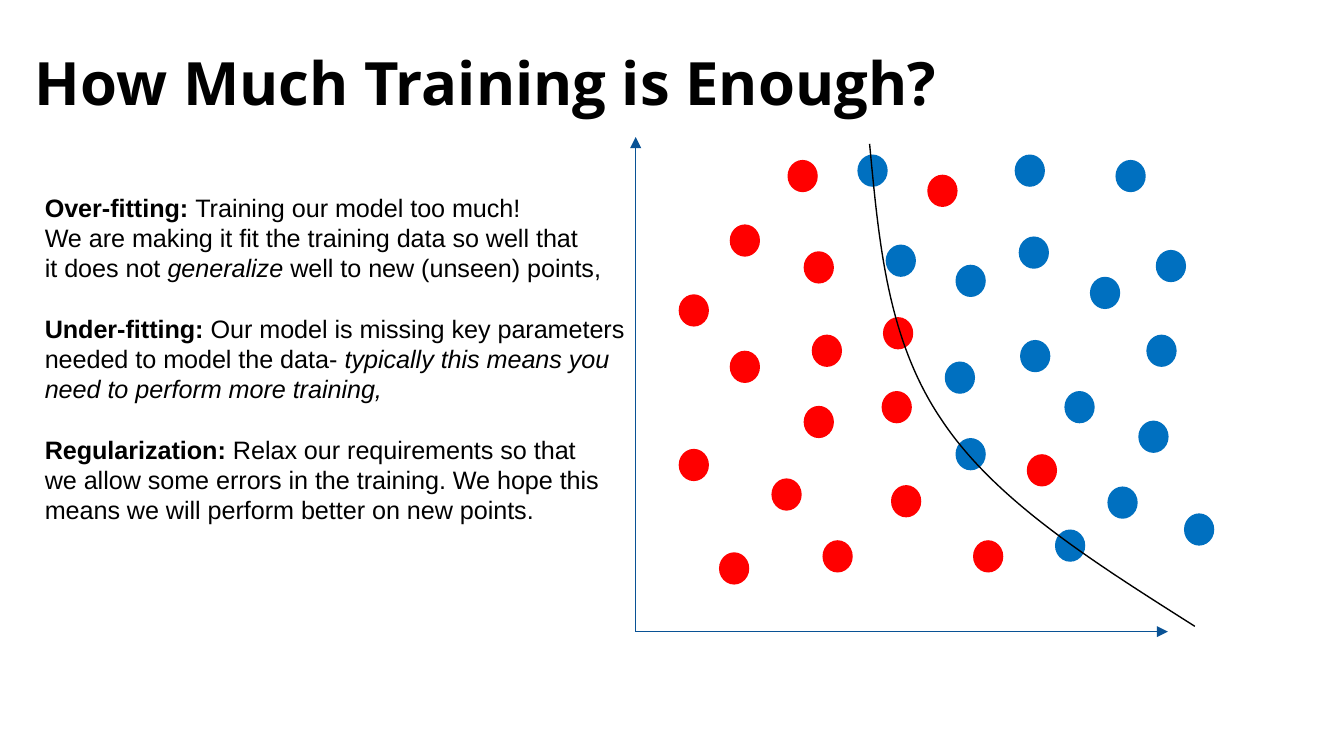
import pptx
import pptx.util
import pptx.dml.color
import pptx.enum.shapes
import pptx.enum.text
import pptx.oxml
import pptx.oxml.ns
from dataclasses import dataclass
from typing import NamedTuple

Pt = pptx.util.Pt
qn = pptx.oxml.ns.qn
Kind = pptx.enum.shapes.MSO_SHAPE
Anchor = pptx.enum.text.MSO_ANCHOR
Align = pptx.enum.text.PP_ALIGN
Fit = pptx.enum.text.MSO_AUTO_SIZE


@dataclass(frozen=True)
class Theme:
    ink: str = "000000"
    axis: str = "095295"
    red: str = "FF0000"
    blue: str = "0070C0"
    head: str = "Open Sans"
    body: str = "Arial"
    big: float = 32
    small: float = 13.5
    pitch: float = 16.2
    line: float = 0.75


class Spot(NamedTuple):
    col: float
    row: float


class Box(NamedTuple):
    col: float
    row: float
    wide: float
    high: float


class Part(NamedTuple):
    text: str
    style: dict


THEME = Theme()

# The grid: 100 columns and 56.25 rows of square cells
COLS, ROWS = 100, 56.25
CELL = pptx.util.Inches(0.1)

TITLE = Box(2.6, 1.3, 85, 7.45)
NOTES = Box(2.35, 13.8, 45.8, 26)
ORIGIN, TOP, RIGHT = Spot(47.3, 47), Spot(47.3, 10.2), Spot(86.9, 47)
DOT = Spot(2.25, 2.4)

BOLD, ITALIC, PLAIN = {"bold": True}, {"italic": True}, {}

# Each topic is a list of paragraphs, each a list of styled parts
TOPICS = [
    [
        [Part("Over-fitting: ", BOLD), Part("Training our model too much!", PLAIN)],
        [Part("We are making it fit the training data so well that", PLAIN)],
        [Part("it does not ", PLAIN), Part("generalize", ITALIC),
         Part(" well to new (unseen) points,", PLAIN)],
    ],
    [
        [Part("Under-fitting: ", BOLD),
         Part("Our model is missing key parameters\vneeded to model the data- ", PLAIN),
         Part("typically this means you\vneed to perform more training,", ITALIC)],
    ],
    [
        [Part("Regularization: ", BOLD),
         Part("Relax our requirements so that\vwe allow some errors in the training. "
              "We hope this\vmeans we will perform better on new points.", PLAIN)],
    ],
]

# Top left corner of every data point, by class
CLASSES = {
    THEME.red: [
        (59.8, 18.7), (54.3, 26.1), (65.7, 23.6), (65.6, 29.1), (69, 13),
        (54.3, 16.7), (76.4, 33.8), (53.5, 41.1), (50.5, 33.4), (50.5, 21.9),
        (59.8, 30.2), (72.4, 40.2), (61.2, 40.2), (58.6, 11.9), (57.4, 35.6),
        (60.4, 24.9), (66.3, 36.1),
    ],
    THEME.blue: [
        (63.8, 11.5), (71.1, 19.7), (65.9, 18.2), (70.3, 26.9), (71.1, 32.6),
        (82.4, 36.2), (81.1, 20.6), (75.5, 11.5), (75.8, 17.6), (86, 18.6),
        (75.9, 25.3), (85.3, 24.9), (84.7, 31.3), (83, 11.9), (78.5, 39.4),
        (88.1, 38.2), (79.2, 29.1),
    ],
}

# Decision boundary: a start, then two handles and an end per curve
START = Spot(64.7, 10.7)
CURVES = [
    [Spot(65.4, 18), Spot(66, 25.3), Spot(70.1, 31.3)],
    [Spot(74.1, 37.3), Spot(81.5, 41.9), Spot(88.9, 46.6)],
]


def cells(vals) -> list[int]:
    return [round(v * CELL) for v in vals]


def rgb(code: str):
    return pptx.dml.color.RGBColor.from_string(code)


def style(font, face: str, size: float, **more) -> None:
    for key, val in {"name": face, "size": Pt(size), **more}.items():
        setattr(font, key, val)
    font.color.rgb = rgb(THEME.ink)


def stroke(line, code: str) -> None:
    line.color.rgb = rgb(code)
    line.width = Pt(THEME.line)


def title(slide, text: str) -> None:
    shape = slide.shapes.title
    shape.left, shape.top, shape.width, shape.height = cells(TITLE)
    frame = shape.text_frame
    frame.text = text
    form = {"margin_left": 0, "margin_right": 0, "margin_bottom": 0,
            "vertical_anchor": Anchor.BOTTOM, "word_wrap": True,
            "auto_size": Fit.NONE}
    for key, val in form.items():
        setattr(frame, key, val)
    para = frame.paragraphs[0]
    para.alignment = Align.LEFT
    style(para.runs[0].font, THEME.head, THEME.big, bold=True)


def notes(slide) -> None:
    frame = slide.shapes.add_textbox(*cells(NOTES)).text_frame
    frame.word_wrap = False
    frame.auto_size = Fit.SHAPE_TO_FIT_TEXT
    para = None
    for topic in TOPICS:
        for num, parts in enumerate(topic):
            first = para is None
            para = frame.paragraphs[0] if first else frame.add_paragraph()
            para.line_spacing = Pt(THEME.pitch)
            if num == 0 and not first:
                para.space_before = Pt(THEME.pitch)
            for part in parts:
                # A vertical tab marks a line break inside a paragraph
                for step, text in enumerate(part.text.split("\v")):
                    if step:
                        para.add_line_break()
                    run = para.add_run()
                    run.text = text
                    style(run.font, THEME.body, THEME.small, **part.style)


def arrow(slide, start: Spot, end: Spot) -> None:
    line = slide.shapes.add_connector(
        pptx.enum.shapes.MSO_CONNECTOR.STRAIGHT, *cells(start + end))
    stroke(line.line, THEME.axis)
    props = line._element.spPr
    edge = props.find(qn("a:ln"))
    edge.append(edge.makeelement(qn("a:tailEnd"), {"type": "triangle"}))
    props.append(props.makeelement(qn("a:effectLst"), {}))


def dot(slide, spot: Spot, code: str) -> None:
    shape = slide.shapes.add_shape(Kind.OVAL, *cells(spot + DOT))
    shape.shadow.inherit = False
    shape.fill.solid()
    shape.fill.fore_color.rgb = rgb(code)
    shape.line.fill.background()


def border(slide) -> None:
    pen = slide.shapes.build_freeform(*cells(START))
    pen.add_line_segments([cells(curve[-1]) for curve in CURVES], close=False)
    shape = pen.convert_to_shape()
    shape.shadow.inherit = False
    shape.fill.background()
    stroke(shape.line, THEME.ink)
    # Turn each straight segment into a Bezier curve
    left, top = cells(START)
    for seg, curve in zip(list(shape._element.iter(qn("a:lnTo"))), CURVES):
        bend = seg.makeelement(qn("a:cubicBezTo"), {})
        for spot in curve:
            x, y = cells(spot)
            bend.append(bend.makeelement(
                qn("a:pt"), {"x": str(x - left), "y": str(y - top)}))
        seg.getparent().replace(seg, bend)


def main() -> None:
    deck = pptx.Presentation()
    deck.slide_width, deck.slide_height = cells((COLS, ROWS))
    slide = deck.slides.add_slide(deck.slide_layouts[5])
    title(slide, "How Much Training is Enough?")
    notes(slide)
    # Scatter plot: axes, points, boundary
    for end in (TOP, RIGHT):
        arrow(slide, ORIGIN, end)
    for code, spots in CLASSES.items():
        for spot in spots:
            dot(slide, Spot(*spot), code)
    border(slide)
    deck.save("out.pptx")


if __name__ == "__main__":
    main()
